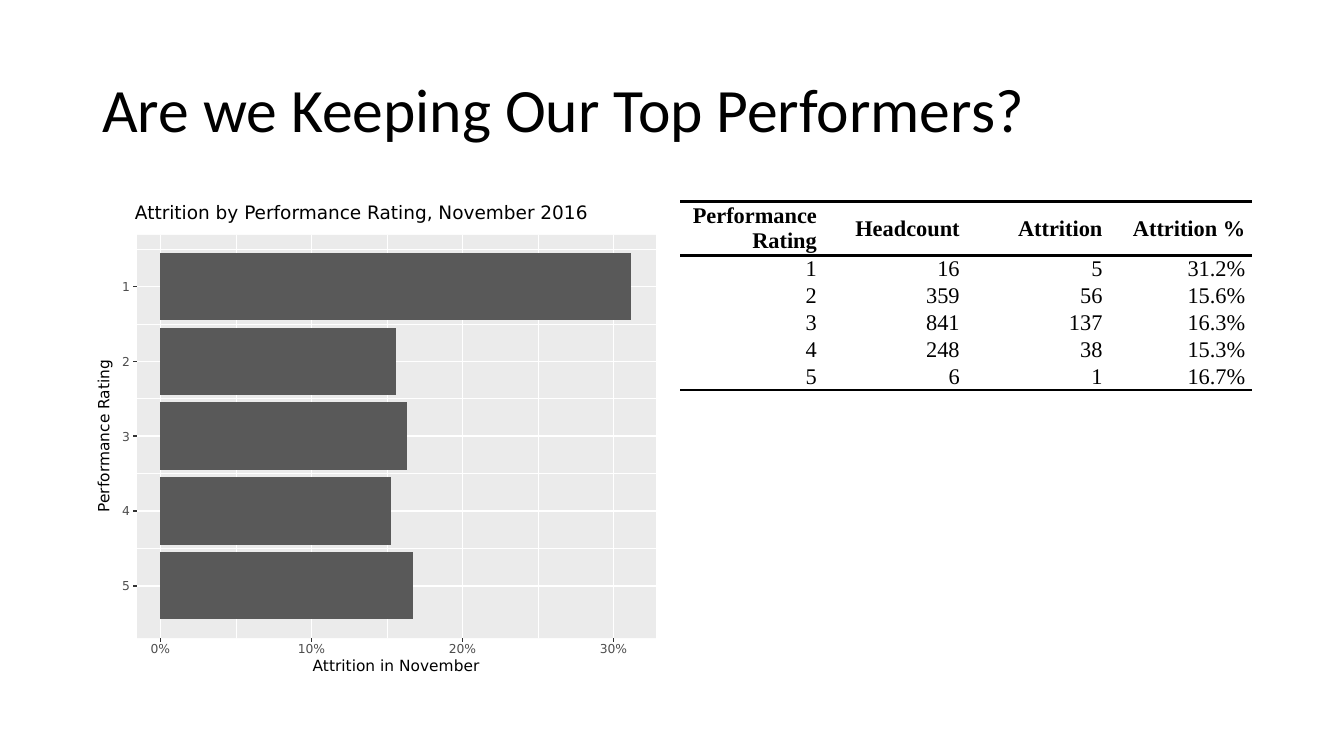
from lxml import etree
from pptx import Presentation
from pptx.chart.data import CategoryChartData
from pptx.dml.color import RGBColor
from pptx.enum.chart import XL_CHART_TYPE
from pptx.enum.shapes import MSO_CONNECTOR, MSO_SHAPE
from pptx.enum.text import MSO_ANCHOR, PP_ALIGN
from pptx.oxml import parse_xml
from pptx.oxml.ns import nsdecls, qn
from pptx.util import Pt

# Content
TITLE = "Are we Keeping Our Top Performers?"
CHART_TITLE = "Attrition by Performance Rating, November 2016"
VALUE_TITLE = "Attrition in November"
RATING_TITLE = "Performance Rating"
HEADER = ("Performance Rating", "Headcount", "Attrition", "Attrition %")
ROWS = [
    ("1", "16", "5", "31.2%"),
    ("2", "359", "56", "15.6%"),
    ("3", "841", "137", "16.3%"),
    ("4", "248", "38", "15.3%"),
    ("5", "6", "1", "16.7%"),
]
RATES = [0.312, 0.156, 0.163, 0.153, 0.167]
PERCENT_LABELS = ["0%", "10%", "20%", "30%"]

COLORS = {"text": "000000", "panel": "EBEBEB", "grid": "FFFFFF",
          "bar": "595959", "tick": "333333", "label": "4D4D4D"}
CHART_FONT = "DejaVu Sans"

# Chart geometry, in points
PANEL_LEFT, PANEL_TOP, PANEL_RIGHT, PANEL_BOTTOM = 97.9, 167.8, 468.6, 455.8
ZERO_X, STEP_X = 114.6, 107.86  # position of 0% and width of 10%
BARS_TOP, PITCH = 178.1, 53.4   # top of the first category, category height
TICK = 2.75


def color(name):
    return RGBColor.from_string(COLORS[name])


def add_text(text, left, top, width, height, size, align=PP_ALIGN.LEFT,
             tone="text", font=CHART_FONT, inset=0, wrap=False):
    box = slide.shapes.add_textbox(Pt(left), Pt(top), Pt(width), Pt(height))
    frame = box.text_frame
    frame.word_wrap = wrap
    frame.vertical_anchor = MSO_ANCHOR.MIDDLE
    frame.margin_left = frame.margin_right = Pt(inset)
    frame.margin_top = frame.margin_bottom = Pt(inset / 2)
    paragraph = frame.paragraphs[0]
    paragraph.text = text
    paragraph.alignment = align
    paragraph.font.name = font
    paragraph.font.size = Pt(size)
    paragraph.font.color.rgb = color(tone)
    return box


def add_line(x1, y1, x2, y2, tone, width):
    line = slide.shapes.add_connector(
        MSO_CONNECTOR.STRAIGHT, Pt(x1), Pt(y1), Pt(x2), Pt(y2))
    line.line.color.rgb = color(tone)
    line.line.width = Pt(width)
    etree.SubElement(line._element.spPr, qn("a:effectLst"))


def set_borders(cell, ruled_sides):
    properties = cell._tc.get_or_add_tcPr()
    for position, side in enumerate(("lnL", "lnR", "lnT", "lnB")):
        if side in ruled_sides:
            width = Pt(2)
            fill = f'<a:solidFill><a:srgbClr val="{COLORS["text"]}"/></a:solidFill>'
        else:
            width, fill = 0, "<a:noFill/>"
        properties.insert(position, parse_xml(
            f'<a:{side} {nsdecls("a")} w="{width}">{fill}</a:{side}>'))


presentation = Presentation()
presentation.slide_width, presentation.slide_height = Pt(960), Pt(540)
slide = presentation.slides.add_slide(presentation.slide_layouts[6])

# Slide title
title = add_text(TITLE, 66, 28.1, 828, 104.4, 44, font="Calibri", inset=7.2, wrap=True)
title.text_frame.paragraphs[0].line_spacing = 0.9

# Chart panel
panel = slide.shapes.add_shape(
    MSO_SHAPE.RECTANGLE, Pt(PANEL_LEFT), Pt(PANEL_TOP),
    Pt(PANEL_RIGHT - PANEL_LEFT), Pt(PANEL_BOTTOM - PANEL_TOP))
panel.shadow.inherit = False
panel.fill.solid()
panel.fill.fore_color.rgb = color("panel")
panel.line.fill.background()

# Grid lines every half step: thick at the labels, thin between them
for half in range(2 * len(RATES)):
    y = BARS_TOP + half * PITCH / 2
    add_line(PANEL_LEFT, y, PANEL_RIGHT, y, "grid", 1.07 if half % 2 else 0.53)
for half in range(2 * len(PERCENT_LABELS) - 1):
    x = ZERO_X + half * STEP_X / 2
    add_line(x, PANEL_TOP, x, PANEL_BOTTOM, "grid", 0.53 if half % 2 else 1.07)

# Bar chart, whose plot area fills its frame; the first rating is on top
chart_data = CategoryChartData(number_format="0.0%")
chart_data.categories = [row[0] for row in reversed(ROWS)]
chart_data.add_series(VALUE_TITLE, RATES[::-1])
chart = slide.shapes.add_chart(
    XL_CHART_TYPE.BAR_CLUSTERED, Pt(ZERO_X), Pt(BARS_TOP),
    Pt(PANEL_RIGHT - ZERO_X), Pt(PITCH * len(RATES)), chart_data).chart
chart.has_legend = False
chart.has_title = False
chart.font.name = CHART_FONT
chart.font.size = Pt(8.8)
chart.font.color.rgb = color("label")
chart.category_axis.visible = False
chart.value_axis.visible = False
chart.value_axis.has_major_gridlines = False
chart.value_axis.minimum_scale = 0
chart.value_axis.maximum_scale = round((PANEL_RIGHT - ZERO_X) / STEP_X / 10, 4)
plot = chart.plots[0]
plot.gap_width = 11
plot.vary_by_categories = False
bars = plot.series[0].format
bars.fill.solid()
bars.fill.fore_color.rgb = color("bar")
bars.line.fill.background()

plot_area = chart._chartSpace.chart.plotArea
for old_layout in plot_area.findall(qn("c:layout")):
    plot_area.remove(old_layout)
plot_area.insert(0, parse_xml(
    f'<c:layout {nsdecls("c")}><c:manualLayout><c:layoutTarget val="inner"/>'
    '<c:xMode val="edge"/><c:yMode val="edge"/><c:x val="0"/><c:y val="0"/>'
    '<c:w val="1"/><c:h val="1"/></c:manualLayout></c:layout>'))
chart._chartSpace.chart.addnext(parse_xml(
    f'<c:spPr {nsdecls("c", "a")}><a:noFill/><a:ln><a:noFill/></a:ln></c:spPr>'))

# Tick marks and their labels
for index, row in enumerate(ROWS):
    y = BARS_TOP + (index + 0.5) * PITCH
    add_line(PANEL_LEFT - TICK, y, PANEL_LEFT, y, "tick", 1.07)
    add_text(row[0], 87, y - 3.3, 5.8, 6.6, 8.8, PP_ALIGN.RIGHT, "label")
for index, label in enumerate(PERCENT_LABELS):
    x = ZERO_X + index * STEP_X
    add_line(x, PANEL_BOTTOM, x, PANEL_BOTTOM + TICK, "tick", 1.07)
    add_text(label, x - 15, 460.2, 30, 6.6, 8.8, PP_ALIGN.CENTER, "label")

# Chart and axis titles
add_text(CHART_TITLE, 96.4, 145, 350, 13, 13.2)
add_text(VALUE_TITLE, 213, 471, 140, 8.6, 11, PP_ALIGN.CENTER)
rating_title = add_text(RATING_TITLE, 3.8, 306, 140, 10.8, 11, PP_ALIGN.CENTER)
rating_title.rotation = 270

# Table
LINE_HEIGHT = 17.7
table_rows = [HEADER] + ROWS
table = slide.shapes.add_table(
    len(table_rows), len(HEADER), Pt(486), Pt(144), Pt(408),
    Pt(LINE_HEIGHT * (len(table_rows) + 1))).table
table.first_row = False
table.horz_banding = False
for row_index, row in enumerate(table_rows):
    is_header = row_index == 0
    table.rows[row_index].height = Pt(LINE_HEIGHT * (2 if is_header else 1))
    ruled_sides = set()
    if row_index <= 1:
        ruled_sides.add("lnT")
    if is_header or row_index == len(ROWS):
        ruled_sides.add("lnB")
    for column_index, text in enumerate(row):
        cell = table.cell(row_index, column_index)
        cell.fill.background()
        cell.vertical_anchor = MSO_ANCHOR.MIDDLE
        cell.margin_left = cell.margin_right = cell.margin_top = cell.margin_bottom = 0
        set_borders(cell, ruled_sides)
        paragraph = cell.text_frame.paragraphs[0]
        paragraph.text = text
        paragraph.alignment = PP_ALIGN.RIGHT
        paragraph.space_before = paragraph.space_after = Pt(0)
        paragraph.font.name = "Times New Roman"
        paragraph.font.size = Pt(16)
        paragraph.font.bold = is_header
        paragraph.font.color.rgb = color("text")
        for side in ("marL", "marR"):
            paragraph._p.get_or_add_pPr().set(side, str(Pt(4.5)))

presentation.save("out.pptx")
